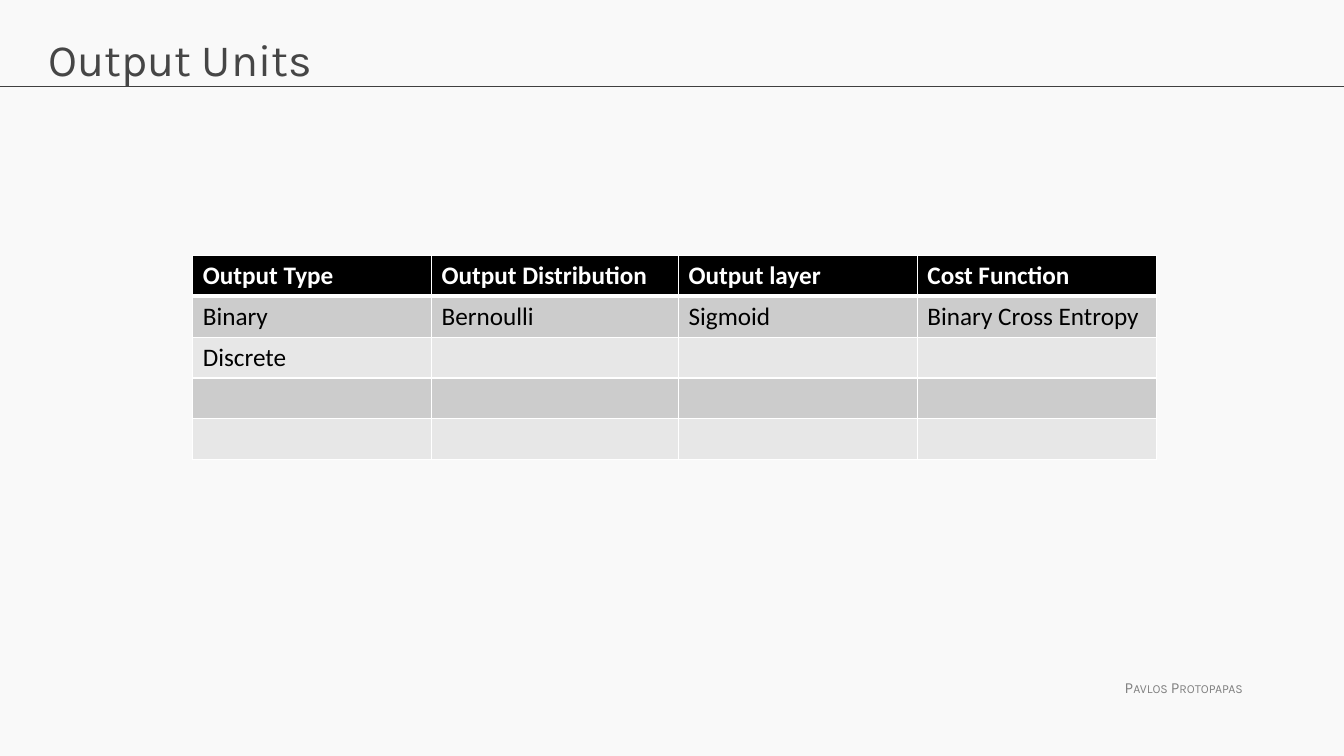
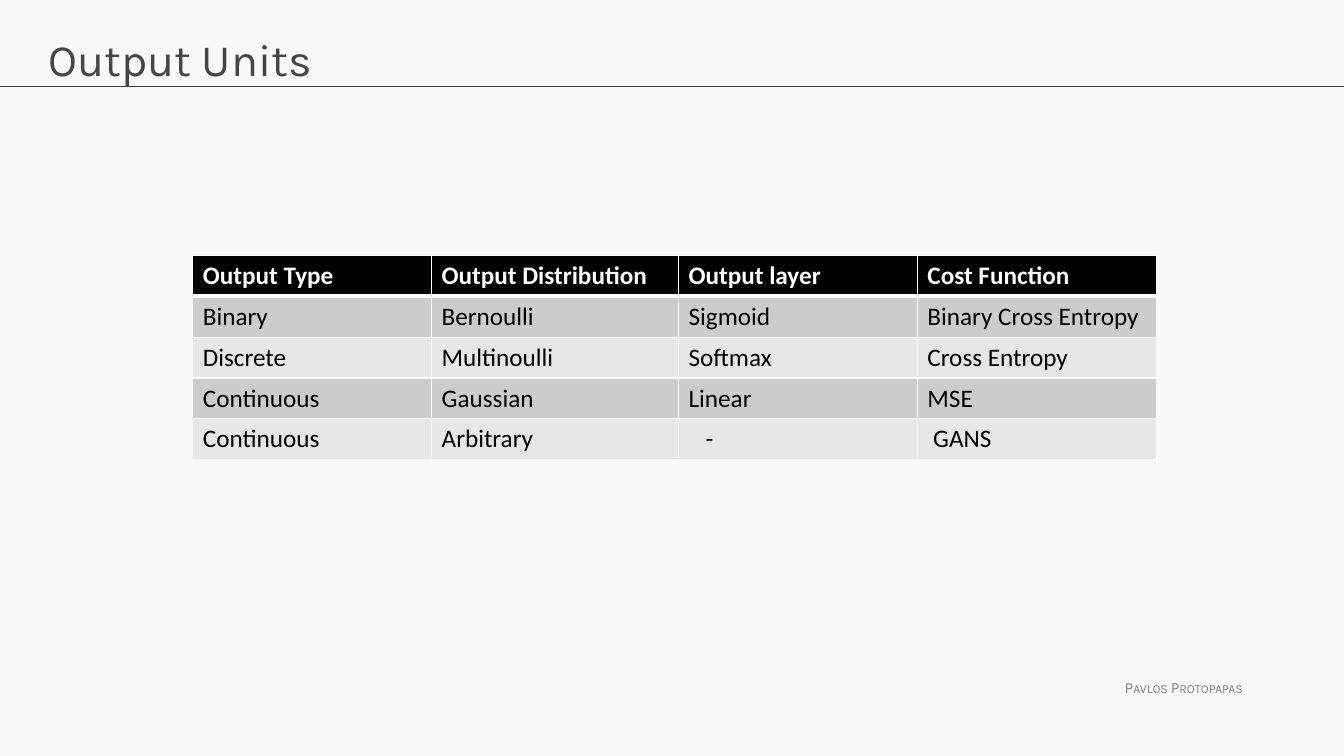
from dataclasses import dataclass

import pptx
import pptx.dml.color
import pptx.enum.shapes
import pptx.enum.text
import pptx.oxml
import pptx.oxml.ns
import pptx.util

Pt = pptx.util.Pt

TITLE = "Output Units"
AUTHOR = "Pavlos Protopapas"
HEADINGS = ["Output Type", "Output Distribution", "Output layer", "Cost Function"]
UNITS = [
    ["Binary", "Bernoulli", "Sigmoid", "Binary Cross Entropy"],
    ["Discrete", "Multinoulli", "Softmax", "Cross Entropy"],
    ["Continuous", "Gaussian", "Linear", "MSE"],
    ["Continuous", "Arbitrary", "-", "GANS"],
]
INDENTS = {"-": 12.2, "GANS": 4.1}
REVEALED_ENTRIES = [5, 16]

SLIDE_SIZE = (960, 540)
RULE_Y = 62
TITLE_BOX = (27.4, 17.3, 905, 60.5)
AUTHOR_BOX = (796.3, 481, 101.5, 20.9)
TABLE_ORIGIN = (137.7, 182.4)
COLUMN_WIDTHS = [170.6, 176.4, 170.6, 170.6]
ROW_HEIGHT = 29.2
CELL_INSET = 7.2


@dataclass(frozen=True)
class Theme:
    background: str = "F9F9F9"
    rule: str = "404040"
    title: str = "464646"
    author: str = "808080"
    header: str = "000000"
    header_text: str = "FFFFFF"
    body_text: str = "000000"
    bands: tuple = ("CCCCCC", "E7E7E7")
    border: str = "FFFFFF"
    heading_font: str = "Karla"
    table_font: str = "Calibri"
    title_size: int = 32
    table_size: int = 18
    author_size: int = 11
    rule_width: float = 0.75
    border_width: int = 1
    header_border_width: int = 3


THEME = Theme()


def rgb(value):
    return pptx.dml.color.RGBColor.from_string(value)


def write_text(frame, text, *, font, size, color, bold=False, small_caps=False):
    run = frame.paragraphs[0].add_run()
    run.text = text
    run.font.name = font
    run.font.size = Pt(size)
    run.font.color.rgb = rgb(color)
    run.font.bold = bold
    if small_caps:
        run.font._element.set("cap", "small")


def add_text_box(slide, box, text, *, wrap=True, top_inset=3.6, **text_format):
    frame = slide.shapes.add_textbox(*map(Pt, box)).text_frame
    frame.word_wrap = wrap
    frame.margin_top = Pt(top_inset)
    write_text(frame, text, **text_format)


def add_title_rule(slide):
    rule = slide.shapes.add_connector(
        pptx.enum.shapes.MSO_CONNECTOR.STRAIGHT,
        Pt(0), Pt(RULE_Y), Pt(SLIDE_SIZE[0]), Pt(RULE_Y),
    )
    rule.line.color.rgb = rgb(THEME.rule)
    rule.line.width = Pt(THEME.rule_width)
    rule._element.spPr.append(pptx.oxml.parse_xml(
        f"<a:effectLst {pptx.oxml.ns.nsdecls('a')}/>"))


def set_borders(cell, row):
    widths = dict.fromkeys("LRTB", THEME.border_width)
    if row == 0:
        widths["B"] = THEME.header_border_width
    elif row == 1:
        widths["T"] = THEME.header_border_width
    properties = cell._tc.get_or_add_tcPr()
    for position, (side, width) in enumerate(widths.items()):
        properties.insert(position, pptx.oxml.parse_xml(
            f'<a:ln{side} {pptx.oxml.ns.nsdecls("a")} w="{Pt(width)}">'
            f'<a:solidFill><a:srgbClr val="{THEME.border}"/></a:solidFill>'
            f'</a:ln{side}>'))


def format_cell(cell, row, text):
    is_header = row == 0
    cell.fill.solid()
    cell.fill.fore_color.rgb = rgb(
        THEME.header if is_header else THEME.bands[(row - 1) % len(THEME.bands)])
    set_borders(cell, row)
    cell.margin_left = Pt(CELL_INSET + INDENTS.get(text, 0))
    cell.text_frame.paragraphs[0].font.size = Pt(THEME.table_size)
    if text:
        write_text(
            cell.text_frame, text,
            font=THEME.table_font, size=THEME.table_size, bold=is_header,
            color=THEME.header_text if is_header else THEME.body_text,
        )


def add_units_table(slide, revealed):
    rows = [HEADINGS] + UNITS
    columns = len(HEADINGS)
    table = slide.shapes.add_table(
        len(rows), columns, *map(Pt, TABLE_ORIGIN),
        Pt(sum(COLUMN_WIDTHS)), Pt(ROW_HEIGHT * len(rows)),
    ).table
    for column, width in zip(table.columns, COLUMN_WIDTHS):
        column.width = Pt(width)
    for row, entries in enumerate(rows):
        table.rows[row].height = Pt(ROW_HEIGHT)
        for column, entry in enumerate(entries):
            visible = (row - 1) * columns + column < revealed
            format_cell(table.cell(row, column), row, entry if visible else "")


def add_units_slide(presentation, revealed):
    slide = presentation.slides.add_slide(presentation.slide_layouts[6])
    slide.background.fill.solid()
    slide.background.fill.fore_color.rgb = rgb(THEME.background)
    add_title_rule(slide)
    add_text_box(
        slide, AUTHOR_BOX, AUTHOR, wrap=False, font=THEME.heading_font,
        size=THEME.author_size, color=THEME.author, small_caps=True,
    )
    add_text_box(
        slide, TITLE_BOX, TITLE, top_inset=5.7, font=THEME.heading_font,
        size=THEME.title_size, color=THEME.title,
    )
    add_units_table(slide, revealed)


def main():
    presentation = pptx.Presentation()
    presentation.slide_width, presentation.slide_height = map(Pt, SLIDE_SIZE)
    for revealed in REVEALED_ENTRIES:
        add_units_slide(presentation, revealed)
    presentation.save("out.pptx")


if __name__ == "__main__":
    main()
